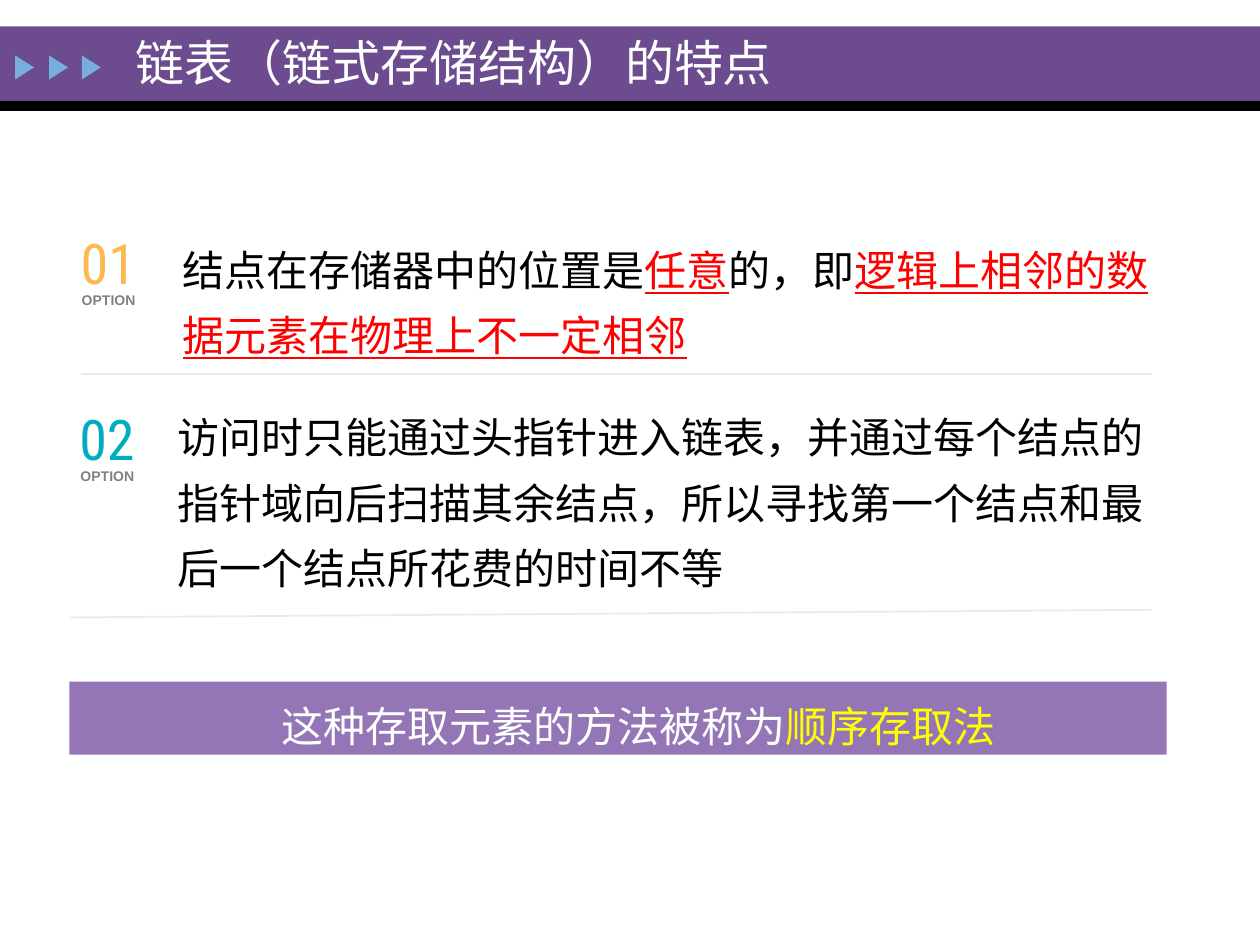
from dataclasses import dataclass

from lxml.etree import SubElement
from pptx import Presentation
from pptx.dml.color import RGBColor
from pptx.enum.shapes import MSO_CONNECTOR, MSO_SHAPE
from pptx.enum.text import MSO_ANCHOR
from pptx.oxml.ns import qn
from pptx.util import Inches, Pt


@dataclass(frozen=True)
class Theme:
    paper: str = "FEFFFF"
    ink: str = "000000"
    header: str = "6C4C8F"
    banner: str = "9476B6"
    arrow: str = "76AEDD"
    key: str = "FF0000"
    highlight: str = "FFFF00"
    first: str = "FFB850"
    second: str = "01ACBE"
    caption: str = "818181"
    rule: str = "EAEAEA"
    body_font: str = "Times New Roman"
    number_font: str = "Roboto Condensed"
    caption_font: str = "Arial"
    title_size: int = 28
    body_size: int = 24
    number_size: int = 32
    caption_size: int = 8


THEME = Theme()
HANGING_INSET = 0.48


def rgb(color):
    return RGBColor.from_string(color)


def add_block(slide, kind, box, color):
    block = slide.shapes.add_shape(kind, *map(Inches, box))
    block.shadow.inherit = False
    block.fill.solid()
    block.fill.fore_color.rgb = rgb(color)
    block.line.fill.background()
    return block


def write(frame, pieces, size, font=THEME.body_font, inset=0.1, spacing=None,
          anchor=MSO_ANCHOR.TOP, bold=None, wrap=True):
    """Fill a frame with one paragraph of (text, colour, underlined) pieces."""
    frame.word_wrap = wrap
    frame.vertical_anchor = anchor
    frame.margin_left = Inches(inset)
    paragraph = frame.paragraphs[0]
    paragraph.line_spacing = spacing
    for text, color, underlined in pieces:
        run = paragraph.add_run()
        run.text = text
        run.font.name = font
        run.font.size = Pt(size)
        run.font.bold = bold
        run.font.underline = underlined
        run.font.color.rgb = rgb(color)


def add_text(slide, box, pieces, size, **style):
    frame = slide.shapes.add_textbox(*map(Inches, box)).text_frame
    write(frame, pieces, size, **style)
    return frame


def add_header(slide, title):
    add_block(slide, MSO_SHAPE.RECTANGLE, (0, 0.21, 10, 0.59), THEME.header)
    add_block(slide, MSO_SHAPE.RECTANGLE, (0, 0.8, 10, 0.08), THEME.ink)
    for left in (0.1, 0.37, 0.63):
        arrow = add_block(slide, MSO_SHAPE.ISOSCELES_TRIANGLE,
                          (left, 0.46, 0.19, 0.15), THEME.arrow)
        arrow.rotation = 90
    add_text(slide, (0.98, 0.21, 7.13, 0.57), [(title, THEME.paper, None)],
             THEME.title_size, anchor=MSO_ANCHOR.MIDDLE)


def add_option(slide, number, color, left, top):
    numeral = add_text(slide, (left, top, 0.49, 0.54), [(number, color, None)],
                       THEME.number_size, font=THEME.number_font, inset=0,
                       anchor=MSO_ANCHOR.MIDDLE)
    numeral.margin_top = numeral.margin_right = numeral.margin_bottom = 0
    add_text(slide, (left - 0.09, top + 0.455, 0.63, 0.24),
             [("OPTION", THEME.caption, None)], THEME.caption_size,
             font=THEME.caption_font, bold=True, wrap=False)


def add_point(slide, box, pieces):
    add_text(slide, box, pieces, THEME.body_size, inset=HANGING_INSET, spacing=1.3)


def add_rule(slide, start, end):
    rule = slide.shapes.add_connector(MSO_CONNECTOR.STRAIGHT,
                                      *map(Inches, start + end))
    rule.line.color.rgb = rgb(THEME.rule)
    rule.line.width = Pt(1)
    SubElement(rule._element.spPr, qn("a:effectLst"))


def add_banner(slide, pieces):
    banner = add_block(slide, MSO_SHAPE.RECTANGLE, (0.55, 5.41, 8.71, 0.58),
                       THEME.banner)
    write(banner.text_frame, pieces, THEME.body_size, inset=0.43, spacing=1.3,
          anchor=MSO_ANCHOR.MIDDLE)


def main():
    deck = Presentation()
    deck.slide_width, deck.slide_height = Inches(10), Inches(7.5)
    slide = deck.slides.add_slide(deck.slide_layouts[6])
    slide.background.fill.solid()
    slide.background.fill.fore_color.rgb = rgb(THEME.paper)

    add_header(slide, "链表（链式存储结构）的特点")
    add_point(slide, (0.97, 1.77, 8.41, 1.15), [
        ("结点在存储器中的位置是", THEME.ink, None),
        ("任意", THEME.key, True),
        ("的，即", THEME.ink, None),
        ("逻辑上相邻的数据元素在物理上不一定相邻", THEME.key, True),
    ])
    add_point(slide, (0.93, 3.1, 8.48, 1.68), [
        ("访问时只能通过头指针进入链表，并通过每个结点的指针域向后扫描其余结点，"
         "所以寻找第一个结点和最后一个结点所花费的时间不等", THEME.ink, None),
    ])
    add_banner(slide, [
        ("这种存取元素的方法被称为", THEME.paper, None),
        ("顺序存取法", THEME.highlight, None),
    ])
    add_option(slide, "01", THEME.first, 0.64, 1.81)
    add_option(slide, "02", THEME.second, 0.63, 3.21)
    add_rule(slide, (0.64, 2.97), (9.14, 2.97))
    add_rule(slide, (0.55, 4.9), (9.14, 4.84))

    deck.save("out.pptx")


if __name__ == "__main__":
    main()
